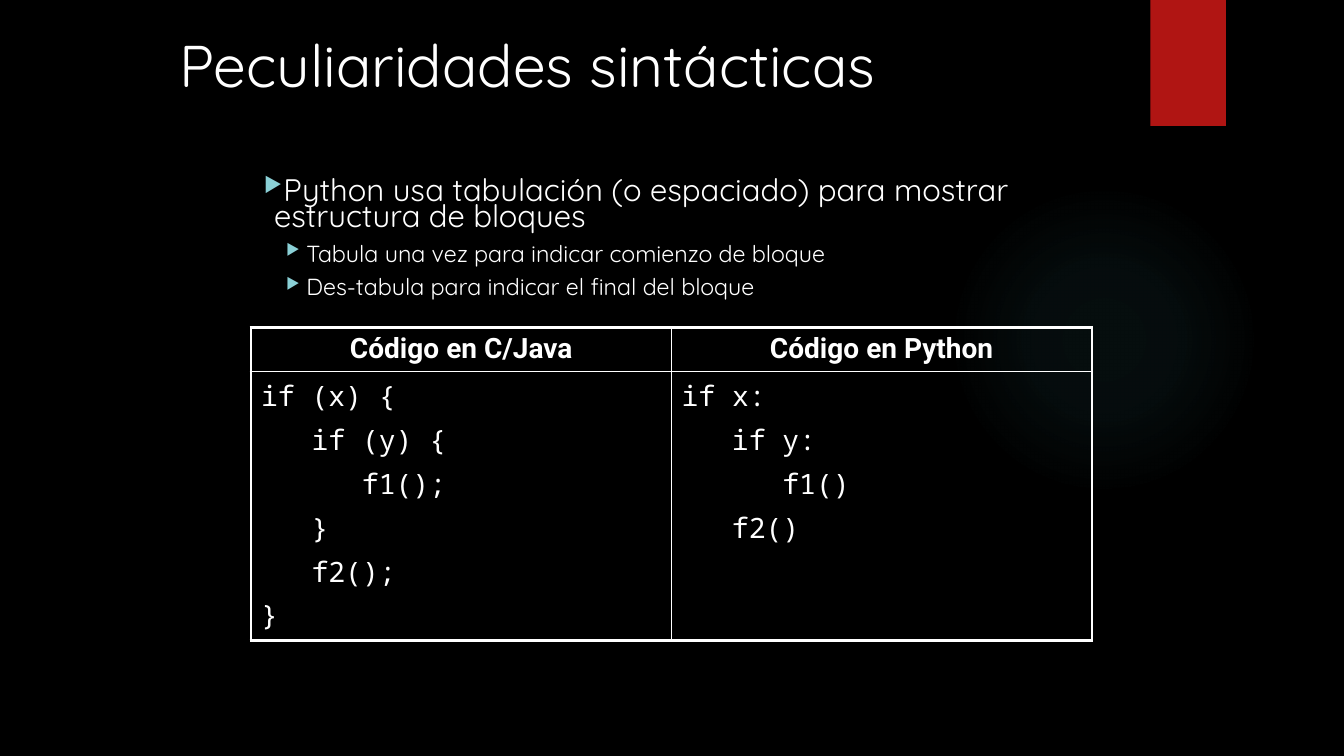
from pptx import Presentation
from pptx.dml.color import RGBColor
from pptx.enum.shapes import MSO_SHAPE
from pptx.enum.text import PP_ALIGN
from pptx.oxml import parse_xml
from pptx.oxml.ns import nsdecls
from pptx.util import Inches, Pt

WHITE = "FFFFFF"
GLOW = "50B9C1"


def color(hex_value):
    return RGBColor.from_string(hex_value)


def add_run(paragraph, text, font, size, bold=False):
    run = paragraph.add_run()
    run.text = text
    run.font.name = font
    run.font.size = Pt(size)
    run.font.bold = bold
    run.font.color.rgb = color(WHITE)


prs = Presentation()
prs.slide_width = Inches(13.33)
prs.slide_height = Inches(7.5)
slide = prs.slides.add_slide(prs.slide_layouts[6])
slide.background.fill.solid()
slide.background.fill.fore_color.rgb = color("000000")

# Soft glow: one colour fading out from the centre
glow = slide.shapes.add_shape(
    MSO_SHAPE.OVAL, Inches(9.41), Inches(1.83), Inches(3.08), Inches(3.08))
glow.shadow.inherit = False
glow.line.fill.background()
stops = "".join(
    f'<a:gs pos="{position * 1000}"><a:srgbClr val="{GLOW}">'
    f'<a:alpha val="{opacity * 1000}"/></a:srgbClr></a:gs>'
    for position, opacity in [(0, 7), (36, 6), (69, 0), (100, 0)])
glow_geometry = glow._element.spPr.find(
    "{http://schemas.openxmlformats.org/drawingml/2006/main}prstGeom")
glow_geometry.addnext(parse_xml(
    f'<a:gradFill {nsdecls("a")}><a:gsLst>{stops}</a:gsLst><a:path path="circle">'
    '<a:fillToRect l="50000" t="50000" r="50000" b="50000"/></a:path></a:gradFill>'))

# Red tab
tab = slide.shapes.add_shape(
    MSO_SHAPE.RECTANGLE, Inches(11.41), 0, Inches(0.75), Inches(1.25))
tab.shadow.inherit = False
tab.fill.solid()
tab.fill.fore_color.rgb = color("B01513")
tab.line.fill.background()

# Title
title = slide.shapes.add_textbox(
    Inches(1.68), Inches(0.24), Inches(11.36), Inches(1.6)).text_frame
title.word_wrap = True
add_run(title.paragraphs[0], "Peculiaridades sintácticas", "Quicksand", 42)

# Bulleted points: text, size, left margin, hanging indent
points = [
    ("Python usa tabulación (o espaciado) para mostrar estructura de bloques",
     22.2, 0.1, 0.1),
    ("Tabula una vez para indicar comienzo de bloque", 16.6, 0.42, 0.2),
    ("Des-tabula para indicar el final del bloque", 16.6, 0.42, 0.2),
]
body = slide.shapes.add_textbox(
    Inches(2.52), Inches(1.74), Inches(8.27), Inches(2.1)).text_frame
body.word_wrap = True
for i, (text, size, margin, hanging) in enumerate(points):
    point = body.add_paragraph() if i else body.paragraphs[0]
    point.line_spacing = 0.7
    point.space_before = Pt(10)
    add_run(point, text, "Quicksand", size)
    properties = point._p.get_or_add_pPr()
    properties.set("marL", str(Inches(margin)))
    properties.set("indent", str(-Inches(hanging)))
    for bullet in ('buClr {}><a:srgbClr val="8AD0D6"/></a:buClr>',
                   'buSzPct {} val="67000"/>',
                   'buChar {} char="▶"/>'):
        properties.append(parse_xml("<a:" + bullet.format(nsdecls("a"))))

# Code comparison: each line is (indent level, code)
headings = ["Código en C/Java", "Código en Python"]
listings = [
    [(0, "if (x) {"), (1, "if (y) {"), (2, "f1();"), (1, "}"), (1, "f2();"), (0, "}")],
    [(0, "if x:"), (1, "if y:"), (2, "f1()"), (1, "f2()")],
]
comparison = slide.shapes.add_table(
    2, 2, Inches(2.49), Inches(3.25), Inches(8.34), Inches(3.1)).table
comparison.first_row = False
comparison.horz_banding = False
comparison.rows[0].height = Inches(0.43)
comparison.rows[1].height = Inches(2.67)

for col, (heading, listing) in enumerate(zip(headings, listings)):
    heading_line = comparison.cell(0, col).text_frame.paragraphs[0]
    heading_line.alignment = PP_ALIGN.CENTER
    heading_line.space_before = Pt(4)
    add_run(heading_line, heading, "Roboto", 20, bold=True)

    code = comparison.cell(1, col).text_frame
    for i, (level, text) in enumerate(listing):
        code_line = code.add_paragraph() if i else code.paragraphs[0]
        code_line.space_before = Pt(4)
        code_line._p.get_or_add_pPr().set("marL", str(Inches(0.5 * level)))
        add_run(code_line, text, "Noto Sans Mono", 20)

    # Thick outer frame, thin inner lines
    for row in range(2):
        cell = comparison.cell(row, col)
        cell.fill.background()
        outer_sides = {"L": col == 0, "R": col == 1, "T": row == 0, "B": row == 1}
        for order, (side, outer) in enumerate(outer_sides.items()):
            width = Pt(2.25 if outer else 1)
            cell._tc.get_or_add_tcPr().insert(order, parse_xml(
                f'<a:ln{side} {nsdecls("a")} w="{width}"><a:solidFill>'
                f'<a:srgbClr val="{WHITE}"/></a:solidFill></a:ln{side}>'))

prs.save("out.pptx")
